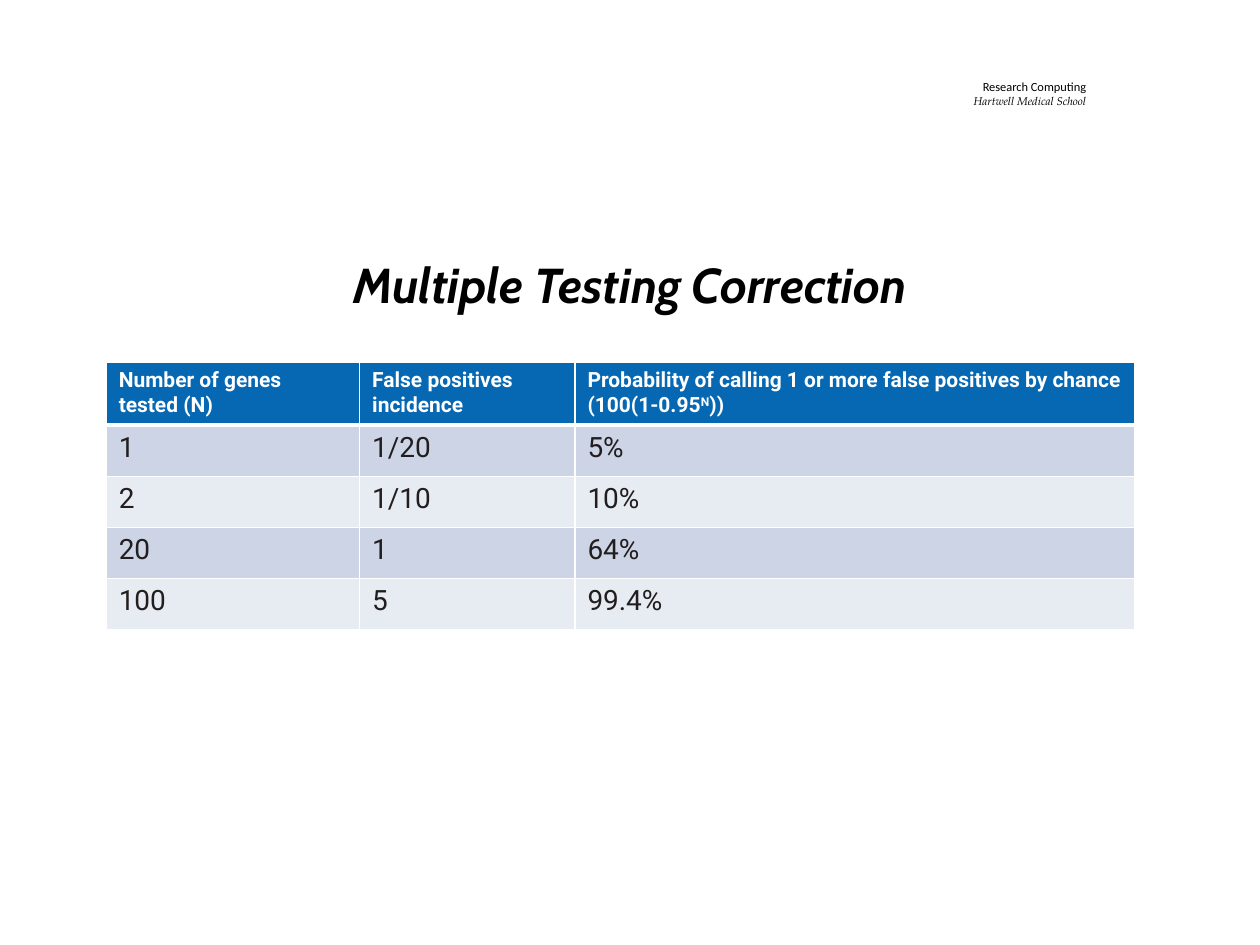
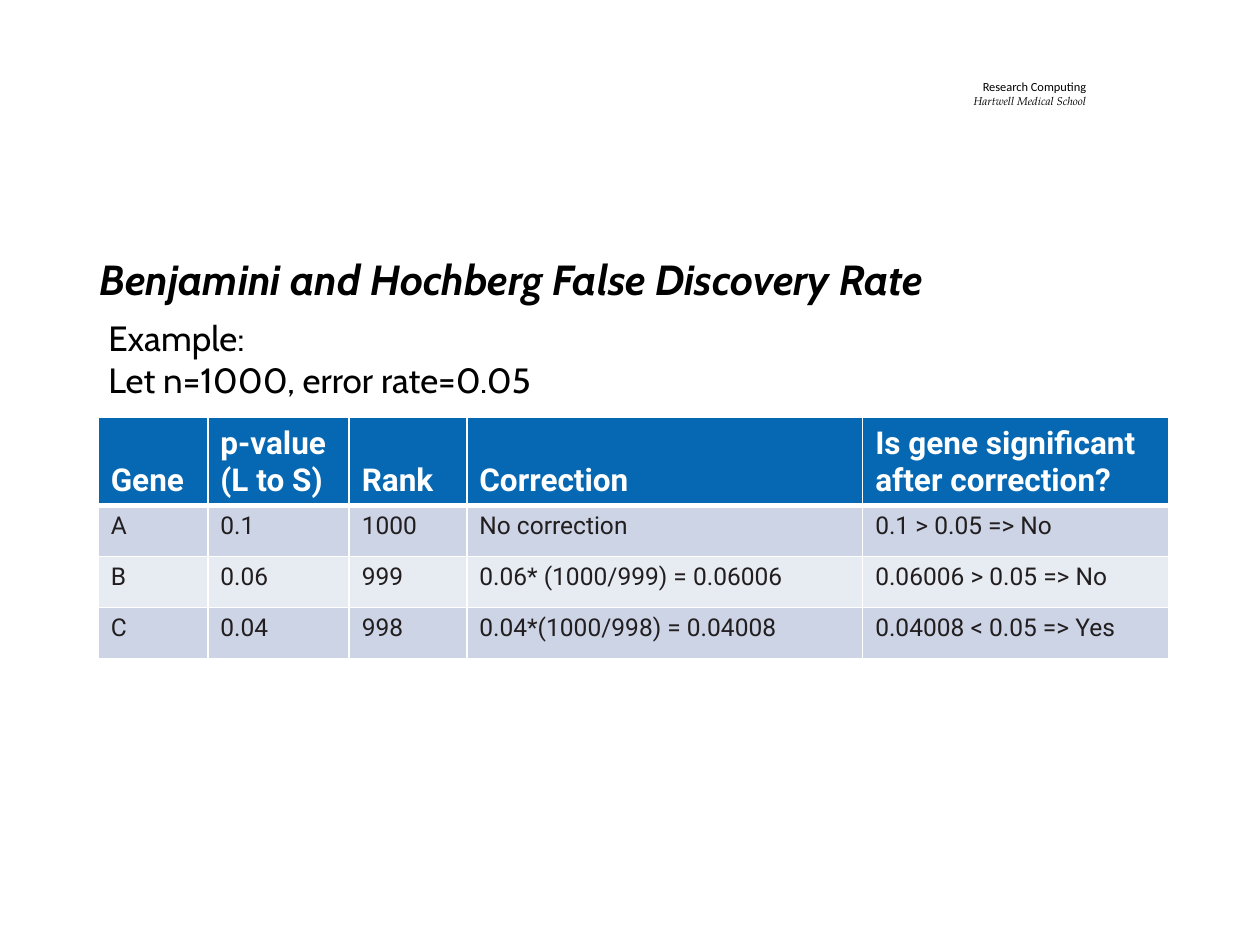
from dataclasses import dataclass

from lxml import etree
from pptx import Presentation
from pptx.dml.color import RGBColor
from pptx.enum.text import MSO_ANCHOR, MSO_AUTO_SIZE, PP_ALIGN
from pptx.oxml.ns import qn
from pptx.util import Cm, Pt

LEFT, CENTER, RIGHT = PP_ALIGN.LEFT, PP_ALIGN.CENTER, PP_ALIGN.RIGHT
TOP, MIDDLE, BOTTOM = MSO_ANCHOR.TOP, MSO_ANCHOR.MIDDLE, MSO_ANCHOR.BOTTOM
NO_AUTOFIT = MSO_AUTO_SIZE.NONE
TITLE_AND_BODY, TITLE_ONLY = 1, 5


@dataclass(frozen=True)
class Theme:
    heading_font: str = "Cabin"
    table_font: str = "Roboto"
    unit_font: str = "Calibri"
    school_font: str = "TeX Gyre Pagella"
    black: str = "000000"
    white: str = "FFFFFF"
    ink: str = "221E1F"
    header_fill: str = "0668B3"
    bands: tuple = ("CCD4E5", "E7EBF2")
    unit_size: float = 7.1
    school_size: float = 6.5
    body_size: float = 20
    rule: float = 1
    header_rule: float = 3


def write(frame, text, *, size, font, color, bold=False, italic=False,
          align=LEFT, before=0):
    for line in text.split("\n"):
        paragraph = frame.add_paragraph() if frame.text else frame.paragraphs[0]
        paragraph.alignment = align
        paragraph.space_before = Pt(before)
        for index, part in enumerate(line.split("^")):
            run = paragraph.add_run()
            run.text = part
            run.font.size = Pt(size)
            run.font.name = font
            run.font.bold = bold
            run.font.italic = italic
            run.font.color.rgb = RGBColor.from_string(color)
            if index % 2:
                run.font._element.set("baseline", "30000")


class Deck:
    def __init__(self, theme):
        self.theme = theme
        self.presentation = Presentation()
        self.presentation.slide_width = Cm(25.4)
        self.presentation.slide_height = Cm(19.05)
        self.slide = None

    def start_slide(self, layout):
        layouts = self.presentation.slide_layouts
        self.slide = self.presentation.slides.add_slide(layouts[layout])
        self.affiliation()

    def affiliation(self):
        theme = self.theme
        box = self.slide.shapes.add_textbox(Cm(15.62), Cm(1.04), Cm(6.43), Cm(1.68))
        frame = box.text_frame
        frame.word_wrap = True
        frame.vertical_anchor = MIDDLE
        frame.margin_left = frame.margin_right = Cm(0.15)
        frame.margin_top = frame.margin_bottom = Cm(0.08)
        write(frame, "Research Computing", size=theme.unit_size,
              font=theme.unit_font, color=theme.black, align=RIGHT)
        write(frame, "Hartwell Medical School", size=theme.school_size,
              font=theme.school_font, color=theme.black, italic=True, align=RIGHT)

    def place(self, placeholder, area):
        placeholder.left, placeholder.top, placeholder.width, placeholder.height = map(Cm, area)
        frame = placeholder.text_frame
        frame.word_wrap = True
        frame.auto_size = NO_AUTOFIT
        frame.vertical_anchor = TOP
        return frame

    def title(self, text, area, **style):
        frame = self.place(self.slide.shapes.title, area)
        write(frame, text, font=self.theme.heading_font, color=self.theme.black,
              bold=True, italic=True, **style)

    def body(self, text, area):
        frame = self.place(self.slide.placeholders[1], area)
        write(frame, text, size=self.theme.body_size,
              font=self.theme.heading_font, color=self.theme.black)
        for paragraph in frame.paragraphs:
            properties = paragraph._p.get_or_add_pPr()
            properties.set("marL", "0")
            properties.set("indent", "0")
            etree.SubElement(properties, qn("a:buNone"))

    def borders(self, cell, top, bottom):
        properties = cell._tc.get_or_add_tcPr()
        rule = self.theme.rule
        for side, width in (("L", rule), ("R", rule), ("T", top), ("B", bottom)):
            line = etree.SubElement(properties, qn(f"a:ln{side}"), w=str(Pt(width)))
            fill = etree.SubElement(line, qn("a:solidFill"))
            etree.SubElement(fill, qn("a:srgbClr"), val=self.theme.white)

    def table(self, rows, left, top, widths, header_height, header_size,
              cell_size, header_anchor=TOP, row_height=1.03):
        theme = self.theme
        heights = [header_height] + [row_height] * (len(rows) - 1)
        table = self.slide.shapes.add_table(
            len(rows), len(widths), Cm(left), Cm(top),
            Cm(sum(widths)), Cm(sum(heights))).table
        for column, width in zip(table.columns, widths):
            column.width = Cm(width)
        for r, (values, height) in enumerate(zip(rows, heights)):
            table.rows[r].height = Cm(height)
            header = r == 0
            fill = theme.header_fill if header else theme.bands[(r - 1) % 2]
            for c, value in enumerate(values):
                cell = table.cell(r, c)
                self.borders(cell, theme.header_rule if r == 1 else theme.rule,
                             theme.header_rule if header else theme.rule)
                cell.fill.solid()
                cell.fill.fore_color.rgb = RGBColor.from_string(fill)
                cell.vertical_anchor = header_anchor if header else TOP
                write(cell.text_frame, value, font=theme.table_font, bold=header,
                      size=header_size if header else cell_size,
                      color=theme.white if header else theme.ink)


def multiple_testing(deck):
    deck.start_slide(TITLE_ONLY)
    deck.title("Multiple Testing Correction", (0, 5, 25.4, 1.45),
               size=28, align=CENTER)
    false_positives = [
        ("Number of genes\ntested (N)", "False positives\nincidence",
         "Probability of calling 1 or more false positives by chance (100(1-0.95^N^))"),
        ("1", "1/20", "5%"),
        ("2", "1/10", "10%"),
        ("20", "1", "64%"),
        ("100", "5", "99.4%"),
    ]
    deck.table(false_positives, 2.14, 7.3, (5.11, 4.34, 11.28),
               header_height=1.26, header_size=12, cell_size=16)


def false_discovery_rate(deck):
    deck.start_slide(TITLE_AND_BODY)
    deck.title("Benjamini and Hochberg False Discovery Rate",
               (1.75, 4.98, 21.8, 1.27), size=24, before=6)
    deck.body("Example:\nLet n=1000, error rate=0.05", (1.93, 6.25, 11.76, 1.96))
    corrections = [
        ("Gene", "p-value (L to S)", "Rank", "Correction",
         "Is gene significant after correction?"),
        ("A", "0.1", "1000", "No correction", "0.1 > 0.05 => No"),
        ("B", "0.06", "999", "0.06* (1000/999) = 0.06006", "0.06006 > 0.05 => No"),
        ("C", "0.04", "998", "0.04*(1000/998) = 0.04008", "0.04008 < 0.05 => Yes"),
    ]
    deck.table(corrections, 1.98, 8.41, (2.21, 2.85, 2.37, 7.98, 6.17),
               header_height=1.73, header_size=18, cell_size=14,
               header_anchor=BOTTOM)


def main():
    deck = Deck(Theme())
    multiple_testing(deck)
    false_discovery_rate(deck)
    deck.presentation.save("out.pptx")


if __name__ == "__main__":
    main()
